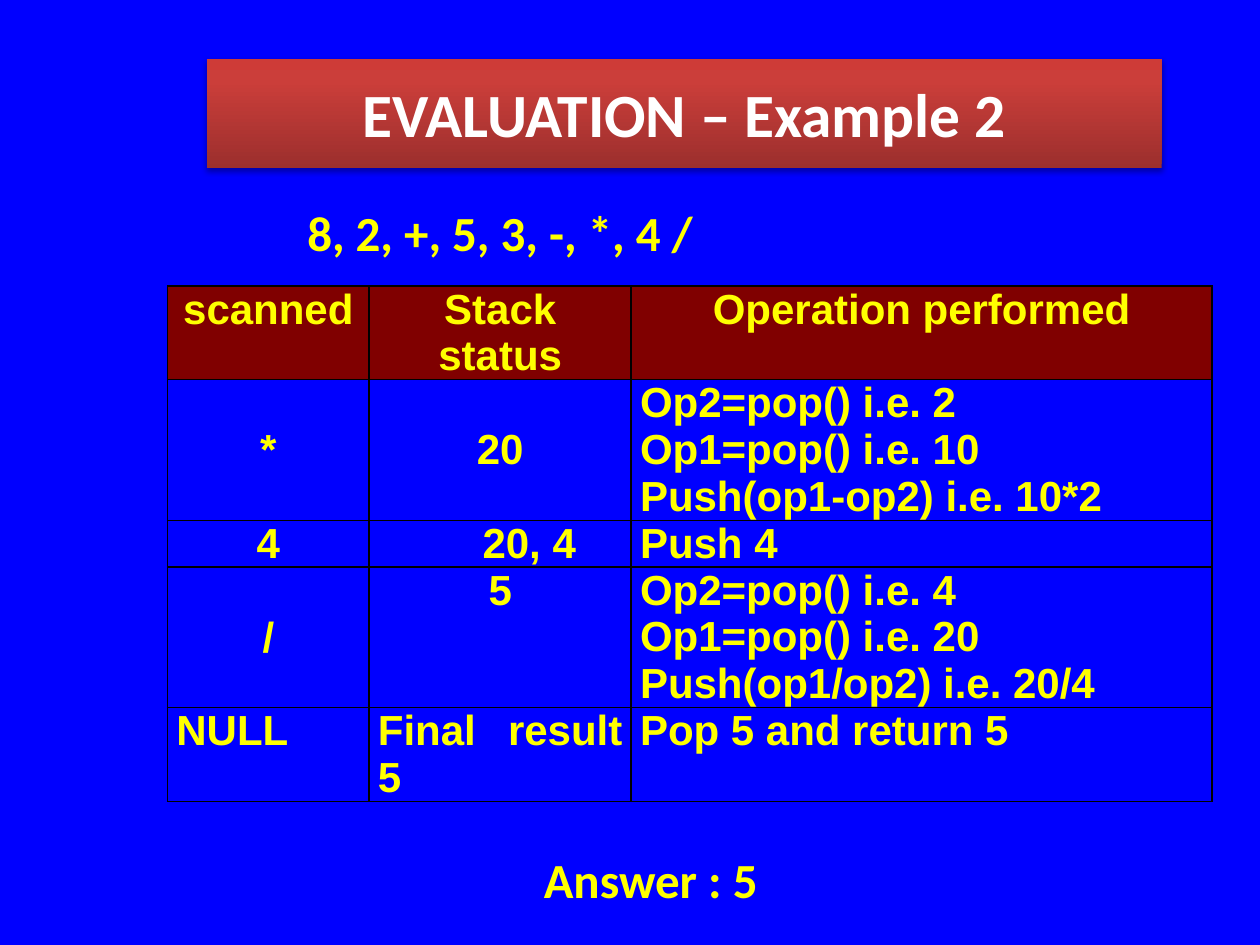
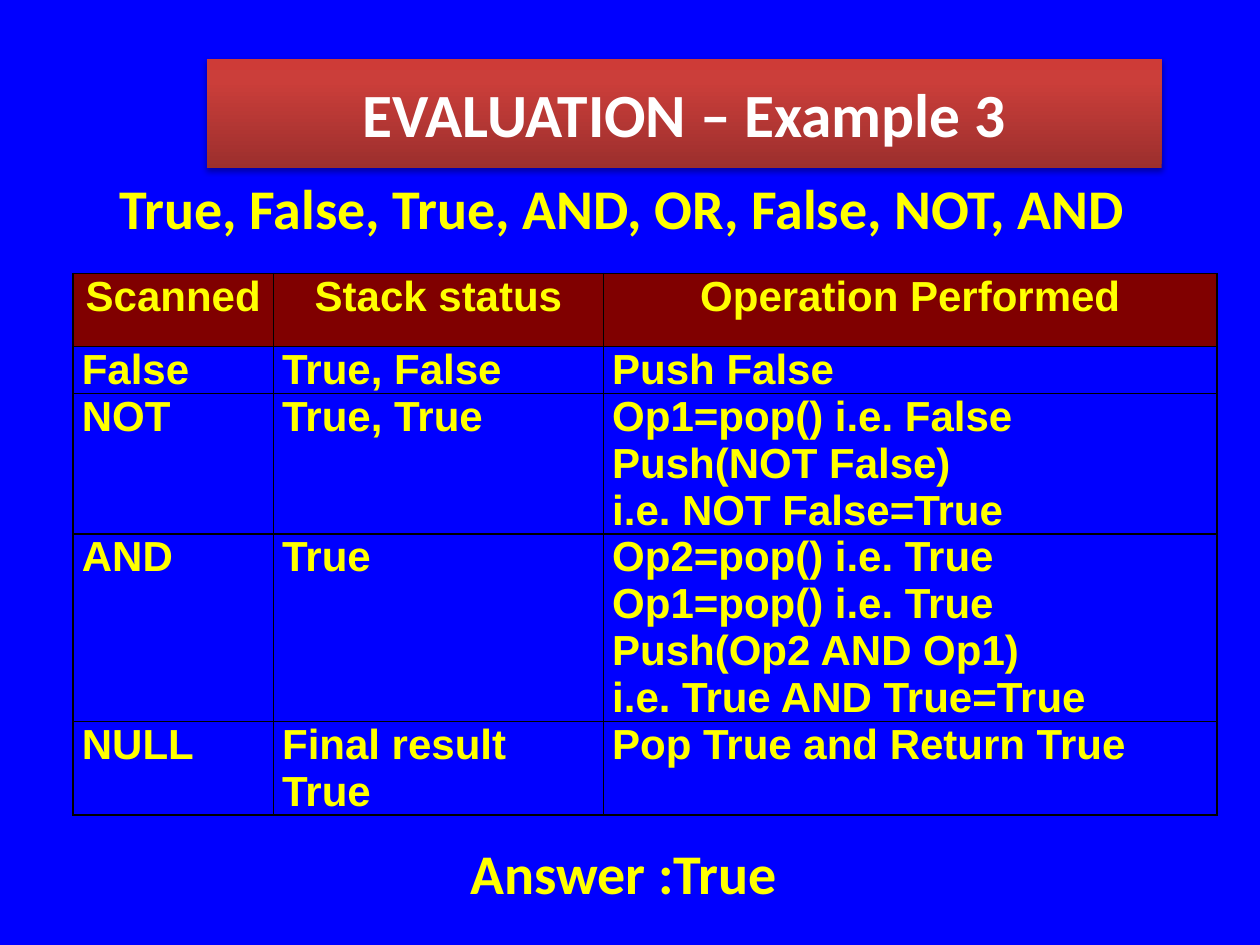
from dataclasses import dataclass

from lxml import etree
from pptx import Presentation
from pptx.dml.color import RGBColor
from pptx.enum.text import MSO_ANCHOR as Anchor, MSO_AUTO_SIZE as AutoSize, PP_ALIGN as Align
from pptx.oxml import parse_xml
from pptx.oxml.ns import nsdecls, qn
from pptx.util import Inches, Pt

BLUE = RGBColor(0x00, 0x00, 0xFF)
MAROON = RGBColor(0x80, 0x00, 0x00)
YELLOW = RGBColor(0xFF, 0xFF, 0x00)
WHITE = RGBColor(0xFF, 0xFF, 0xFF)
BLACK = RGBColor(0x00, 0x00, 0x00)
BAND_STOPS = [
    (0, RGBColor(0x9C, 0x2F, 0x2D)),
    (80, RGBColor(0xCB, 0x3E, 0x3A)),
    (100, RGBColor(0xCE, 0x3B, 0x37)),
]

TITLE_FONT = "Calibri"
TABLE_FONT = "Arial"
TABLE_SIZE = 24
LINE_HEIGHT = 0.37
CELL_MARGIN = 0.07


@dataclass
class Cell:
    text: str
    align: Align = Align.JUSTIFY
    anchor: Anchor = Anchor.TOP
    indent: float = 0


def centred(text, anchor=Anchor.TOP):
    return Cell(text, Align.CENTER, anchor)


def add_text(paragraph, text, font_name, size, color):
    run = paragraph.add_run()
    run.text = text
    font = run.font
    font.name = font_name
    font.size = Pt(size)
    font.bold = True
    font.color.rgb = color


def style_band(shape):
    """Give the title its upward red gradient and soft shadow."""
    stops = "".join(
        f'<a:gs pos="{position * 1000}"><a:srgbClr val="{color}"/></a:gs>'
        for position, color in BAND_STOPS
    )
    properties = shape._element.spPr
    properties.append(parse_xml(
        f'<a:gradFill {nsdecls("a")} rotWithShape="1"><a:gsLst>{stops}</a:gsLst>'
        '<a:lin ang="16200000" scaled="0"/></a:gradFill>'
    ))
    properties.append(parse_xml(
        f'<a:effectLst {nsdecls("a")}>'
        f'<a:outerShdw blurRad="{Pt(3.1)}" dist="{Pt(1.8)}" dir="5400000" rotWithShape="0">'
        f'<a:srgbClr val="{BLACK}"><a:alpha val="35000"/></a:srgbClr>'
        '</a:outerShdw></a:effectLst>'
    ))


def add_title_slide(presentation, text):
    slide = presentation.slides.add_slide(presentation.slide_layouts[5])
    title = slide.shapes.title
    title.left, title.top = Inches(1.64), Inches(0.47)
    title.width, title.height = Inches(7.58), Inches(0.86)
    style_band(title)
    frame = title.text_frame
    frame.auto_size = AutoSize.NONE
    frame.vertical_anchor = Anchor.MIDDLE
    paragraph = frame.paragraphs[0]
    paragraph.alignment = Align.CENTER
    add_text(paragraph, text, TITLE_FONT, 35.1, WHITE)
    return slide


def add_caption(slide, text, left, top, width, size, align=Align.CENTER):
    box = slide.shapes.add_textbox(
        Inches(left), Inches(top), Inches(width), Inches(size / 50))
    box.text_frame.word_wrap = True
    paragraph = box.text_frame.paragraphs[0]
    paragraph.alignment = align
    add_text(paragraph, text, TITLE_FONT, size, YELLOW)


def set_borders(cell):
    properties = cell._tc.get_or_add_tcPr()
    for side in ("lnL", "lnR", "lnT", "lnB"):
        line = etree.SubElement(properties, qn(f"a:{side}"), w=str(Pt(1)))
        fill = etree.SubElement(line, qn("a:solidFill"))
        etree.SubElement(fill, qn("a:srgbClr"), val=str(BLACK))


def fill_cell(cell, content, background):
    cell.margin_left = cell.margin_right = Inches(CELL_MARGIN)
    cell.margin_top = cell.margin_bottom = 0
    cell.vertical_anchor = content.anchor
    set_borders(cell)
    cell.fill.solid()
    cell.fill.fore_color.rgb = background
    frame = cell.text_frame
    for index, line in enumerate(content.text.split("\n")):
        paragraph = frame.add_paragraph() if index else frame.paragraphs[0]
        paragraph.alignment = content.align
        if content.indent:
            paragraph._p.get_or_add_pPr().set("marL", str(Inches(content.indent)))
        add_text(paragraph, line, TABLE_FONT, TABLE_SIZE, YELLOW)


def add_trace_table(slide, left, top, column_widths, header_height, line_counts, rows):
    """Add a stack trace; each body row is as tall as its number of text lines."""
    heights = [header_height] + [count * LINE_HEIGHT for count in line_counts]
    table = slide.shapes.add_table(
        len(rows), len(column_widths), Inches(left), Inches(top),
        Inches(sum(column_widths)), Inches(sum(heights))).table
    table.horz_banding = False
    for column, width in zip(table.columns, column_widths):
        column.width = Inches(width)
    for row_index, (row, height) in enumerate(zip(rows, heights)):
        table.rows[row_index].height = Inches(height)
        for column_index, content in enumerate(row):
            if isinstance(content, str):
                content = Cell(content) if row_index else centred(content)
            fill_cell(table.cell(row_index, column_index), content,
                      BLUE if row_index else MAROON)


def add_arithmetic_slide(presentation):
    slide = add_title_slide(presentation, "EVALUATION – Example 2")
    add_trace_table(slide, 1.33, 2.27, [1.6, 2.08, 4.61], 0.74, [3, 1, 3, 2], [
        ["scanned", "Stack status", "Operation performed"],
        [centred("*", Anchor.MIDDLE), centred("20", Anchor.MIDDLE),
         "Op2=pop() i.e. 2\nOp1=pop() i.e. 10\nPush(op1-op2) i.e. 10*2"],
        [centred("4"), Cell("20, 4", indent=0.83), "Push 4"],
        [centred("/", Anchor.MIDDLE), centred("5"),
         "Op2=pop() i.e. 4\nOp1=pop() i.e. 20\nPush(op1/op2) i.e. 20/4"],
        ["NULL", "Final result 5", "Pop 5 and return 5"],
    ])
    add_caption(slide, "8, 2, +, 5, 3, -, *, 4 /", 2.34, 1.56, 3.55, 28, Align.LEFT)
    add_caption(slide, "Answer : 5", 3.75, 6.69, 2.83, 28)


def add_logic_slide(presentation):
    slide = add_title_slide(presentation, "EVALUATION – Example 3")
    add_trace_table(slide, 0.58, 2.17, [1.59, 2.62, 4.87], 0.58, [1, 3, 4, 2], [
        ["Scanned", "Stack status", "Operation Performed"],
        ["False", "True, False", "Push False"],
        ["NOT", "True, True",
         "Op1=pop() i.e. False\nPush(NOT False)\ni.e. NOT False=True"],
        ["AND", "True",
         "Op2=pop() i.e. True\nOp1=pop() i.e. True\n"
         "Push(Op2 AND Op1)\ni.e. True AND True=True"],
        ["NULL", Cell("Final result True", Align.LEFT), "Pop True and Return True"],
    ])
    add_caption(slide, "True, False, True, AND, OR, False, NOT, AND", 0.5, 1.33, 8.88, 32)
    add_caption(slide, "Answer :True", 3.2, 6.61, 3.5, 32)


def main():
    presentation = Presentation()
    presentation.slide_width = Inches(10)
    presentation.slide_height = Inches(7.5)
    background = presentation.slide_master.background.fill
    background.solid()
    background.fore_color.rgb = BLUE
    add_arithmetic_slide(presentation)
    add_logic_slide(presentation)
    presentation.save("out.pptx")


if __name__ == "__main__":
    main()
